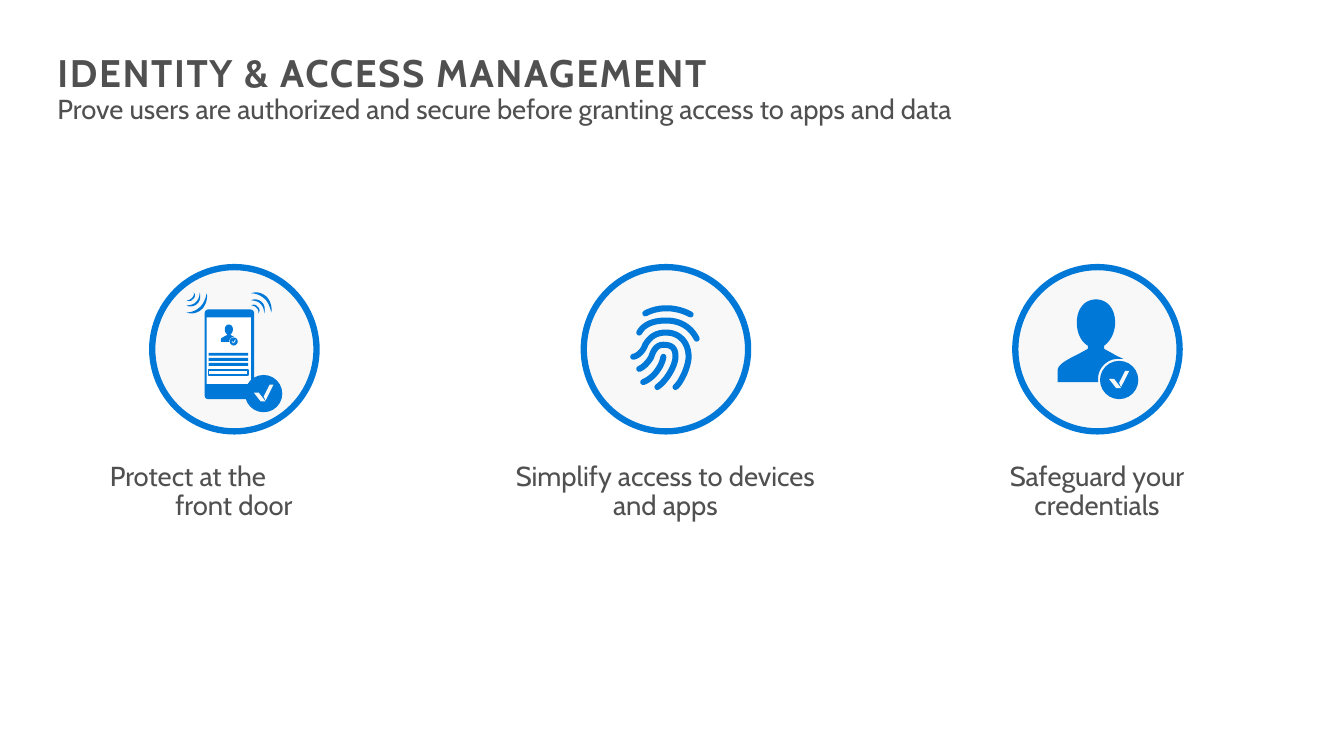
from lxml import etree
from pptx import Presentation
from pptx.dml.color import RGBColor
from pptx.enum.shapes import MSO_SHAPE
from pptx.enum.text import MSO_ANCHOR, PP_ALIGN
from pptx.util import Inches, Pt

OVAL, RECTANGLE, ROUNDED = MSO_SHAPE.OVAL, MSO_SHAPE.RECTANGLE, MSO_SHAPE.ROUNDED_RECTANGLE
LEFT, CENTER = PP_ALIGN.LEFT, PP_ALIGN.CENTER
TOP, MIDDLE = MSO_ANCHOR.TOP, MSO_ANCHOR.MIDDLE

BLUE = RGBColor(0x00, 0x78, 0xD7)
PALE = RGBColor(0xF8, 0xF8, 0xF8)
WHITE = RGBColor(0xFF, 0xFF, 0xFF)
GRAY = RGBColor(0x50, 0x50, 0x50)
FONT = "Cabin"
CIRCLE_SIZE = 1.63

# Outlines in inches: a start point, then lines (x, y) or cubic curves (six values)
BUST = [(0.4, 0.82), (0.4, 0.81, 0.4, 0.8, 0.4, 0.79), (0.4, 0.68, 0.49, 0.59, 0.6, 0.59),
        (0.65, 0.59), (0.61, 0.57, 0.58, 0.56, 0.55, 0.54), (0.46, 0.49), (0.46, 0.46),
        (0.52, 0.42, 0.57, 0.33, 0.57, 0.23), (0.57, 0.09, 0.49, 0, 0.38, 0),
        (0.27, 0, 0.19, 0.09, 0.19, 0.23), (0.19, 0.33, 0.23, 0.42, 0.3, 0.46),
        (0.3, 0.49), (0.21, 0.54), (0.13, 0.58, 0, 0.64, 0, 0.7), (0, 0.82)]
CHECK_STROKES = [[(0.09, 0.18), (0.14, 0.18), (0.21, 0.27), (0.16, 0.27)],
                 [(0.21, 0.26), (0.19, 0.22), (0.25, 0.1), (0.29, 0.1)]]
RIDGES = [
    [(0.59, 1.14), (0.7, 1.1, 0.78, 0.97, 0.79, 0.89)],
    [(0.73, 1.19), (0.83, 1.12, 0.91, 0.97, 0.91, 0.89), (0.91, 0.82, 0.89, 0.77, 0.79, 0.77),
     (0.72, 0.77, 0.69, 0.83, 0.67, 0.89), (0.65, 0.93, 0.6, 0.99, 0.55, 1.01)],
    [(0.91, 1.19), (0.97, 1.14, 1.04, 0.98, 1.04, 0.89), (1.04, 0.75, 0.95, 0.65, 0.82, 0.65),
     (0.74, 0.65, 0.67, 0.67, 0.61, 0.77), (0.6, 0.81, 0.55, 0.88, 0.49, 0.89)],
    [(0.55, 0.65), (0.6, 0.56, 0.7, 0.53, 0.82, 0.53), (0.95, 0.53, 1.06, 0.59, 1.12, 0.71)],
    [(0.61, 0.46), (0.74, 0.39, 0.91, 0.39, 1.06, 0.47)],
]
WAVES = [
    [(1.05, 0.46), (1.07, 0.44, 1.07, 0.41, 1.04, 0.39), (1.03, 0.37, 1, 0.37, 0.98, 0.38),
     (1, 0.38, 1.02, 0.39, 1.03, 0.4), (1.05, 0.42, 1.06, 0.44, 1.05, 0.46)],
    [(1.11, 0.46), (1.12, 0.43, 1.12, 0.38, 1.09, 0.35), (1.06, 0.32, 1.01, 0.31, 0.98, 0.33),
     (1.01, 0.33, 1.05, 0.34, 1.07, 0.36), (1.1, 0.39, 1.11, 0.42, 1.11, 0.46)],
    [(1.18, 0.45), (1.19, 0.41, 1.18, 0.35, 1.14, 0.3), (1.09, 0.25, 1.03, 0.24, 0.98, 0.26),
     (1.03, 0.26, 1.08, 0.28, 1.12, 0.32), (1.15, 0.35, 1.17, 0.4, 1.18, 0.45)],
]


def style(shape, fill=None, line=None, line_width=1):
    shape.shadow.inherit = False
    if fill is None:
        shape.fill.background()
    else:
        shape.fill.solid()
        shape.fill.fore_color.rgb = fill
    if line is None:
        shape.line.fill.background()
    else:
        shape.line.color.rgb = line
        shape.line.width = Pt(line_width)
    return shape


def add_preset(slide, kind, left, top, width, height, **look):
    box = [Inches(value) for value in (left, top, width, height)]
    return style(slide.shapes.add_shape(kind, *box), **look)


def flatten(outline, steps=12):
    """Turn lines and cubic curves into a list of points."""
    points = [outline[0]]
    for segment in outline[1:]:
        if len(segment) == 2:
            points.append(segment)
            continue
        x0, y0 = points[-1]
        x1, y1, x2, y2, x3, y3 = segment
        for step in range(1, steps + 1):
            t = step / steps
            a, b, c, d = (1 - t) ** 3, 3 * t * (1 - t) ** 2, 3 * t * t * (1 - t), t ** 3
            points.append((a * x0 + b * x1 + c * x2 + d * x3,
                           a * y0 + b * y1 + c * y2 + d * y3))
    return points


def add_outline(slide, outline, left, top, scale=1, flip=1, close=True, **look):
    points = [(Inches(left + x * scale), Inches(top + y * scale * flip))
              for x, y in flatten(outline)]
    builder = slide.shapes.build_freeform(*points[0])
    builder.add_line_segments(points[1:], close=close)
    return style(builder.convert_to_shape(), **look)


def add_run(paragraph, text, size=19.6, bold=False, spacing=0):
    run = paragraph.add_run()
    run.text = text
    run.font.name = FONT
    run.font.size = Pt(size)
    run.font.bold = bold
    run.font.color.rgb = GRAY
    run._r.get_or_add_rPr().set("spc", str(spacing))


def add_text_frame(slide, left, top, width, height, margins, anchor=TOP):
    box = slide.shapes.add_textbox(Inches(left), Inches(top), Inches(width), Inches(height))
    frame = box.text_frame
    frame.word_wrap = True
    frame.vertical_anchor = anchor
    frame.margin_left = frame.margin_right = Inches(margins[0])
    frame.margin_top = frame.margin_bottom = Inches(margins[1])
    return frame


# Icons, placed from the corner they are given
def add_badge(slide, left, top, size):
    add_preset(slide, OVAL, left, top, size, size, fill=BLUE)
    for stroke in CHECK_STROKES:
        add_outline(slide, stroke, left, top, scale=size / 0.38, fill=PALE)


def add_user(slide, left, top, scale=1):
    add_outline(slide, BUST, left, top, scale=scale, fill=BLUE)
    add_badge(slide, left + 0.42 * scale, top + 0.61 * scale, 0.38 * scale)


def add_phone(slide, left, top):
    body = add_preset(slide, ROUNDED, left + 0.52, top + 0.42, 0.49, 0.89, fill=BLUE)
    body.adjustments[0] = 0.07
    add_preset(slide, RECTANGLE, left + 0.54, top + 0.5, 0.44, 0.66, fill=WHITE)
    add_user(slide, left + 0.68, top + 0.57, scale=0.21)
    for row in range(3):
        add_preset(slide, RECTANGLE, left + 0.56, top + 0.85 + 0.05 * row, 0.39, 0.03, fill=BLUE)
    add_preset(slide, RECTANGLE, left + 0.56, top + 1.02, 0.39, 0.05, line=BLUE)
    for wave in WAVES:
        add_outline(slide, wave, left, top, fill=BLUE)
        add_outline(slide, wave, left - 0.64, top + 0.71, flip=-1, fill=BLUE)
    add_badge(slide, left + 0.92, top + 1.07, 0.37)


def add_fingerprint(slide, left, top):
    for ridge in RIDGES:
        shape = add_outline(slide, ridge, left, top, close=False, line=BLUE, line_width=4.3)
        line = shape.line._get_or_add_ln()
        line.set("cap", "rnd")
        etree.SubElement(line, line.tag.replace("}ln", "}round"))


def add_credentials(slide, left, top):
    add_user(slide, left + 0.42, top + 0.32)


# Regions
def add_heading(slide, left, top, width, height):
    frame = add_text_frame(slide, left, top, width, height, (0, 0.1), MIDDLE)
    paragraph = frame.paragraphs[0]
    paragraph.line_spacing = 0.9
    add_run(paragraph, "IDENTITY & ACCESS MANAGEMENT", size=27.4, bold=True, spacing=120)
    paragraph.add_line_break()
    add_run(paragraph, "Prove users are authorized and secure before granting access to apps and data")


def add_column(slide, left, top, add_icon, lines, first_indent=None):
    add_preset(slide, OVAL, left, top, CIRCLE_SIZE, CIRCLE_SIZE,
               fill=PALE, line=BLUE, line_width=4.5)
    add_icon(slide, left, top)
    frame = add_text_frame(slide, left - 0.88, top + 1.78, 3.38, 1.24, (0.2, 0.16))
    for index, text in enumerate(lines):
        paragraph = frame.paragraphs[0] if index == 0 else frame.add_paragraph()
        paragraph.alignment = CENTER
        paragraph.line_spacing = 0.9
        paragraph.space_after = Pt(0)
        if index == 0 and first_indent:
            paragraph.alignment = LEFT
            paragraph._p.get_or_add_pPr().set("marL", str(Inches(first_indent)))
        add_run(paragraph, text)


def main():
    presentation = Presentation()
    presentation.slide_width, presentation.slide_height = Inches(13.33), Inches(7.5)
    slide = presentation.slides.add_slide(presentation.slide_layouts[6])
    columns = [(add_phone, ["Protect at the", "front door"], 0.26),
               (add_fingerprint, ["Simplify access to devices and apps"], None),
               (add_credentials, ["Safeguard your credentials"], None)]
    for index, column in enumerate(columns):
        add_column(slide, 1.51 + 4.28 * index, 2.65, *column)
    add_heading(slide, 0.57, 0.22, 10.31, 1.34)
    presentation.save("out.pptx")


if __name__ == "__main__":
    main()
